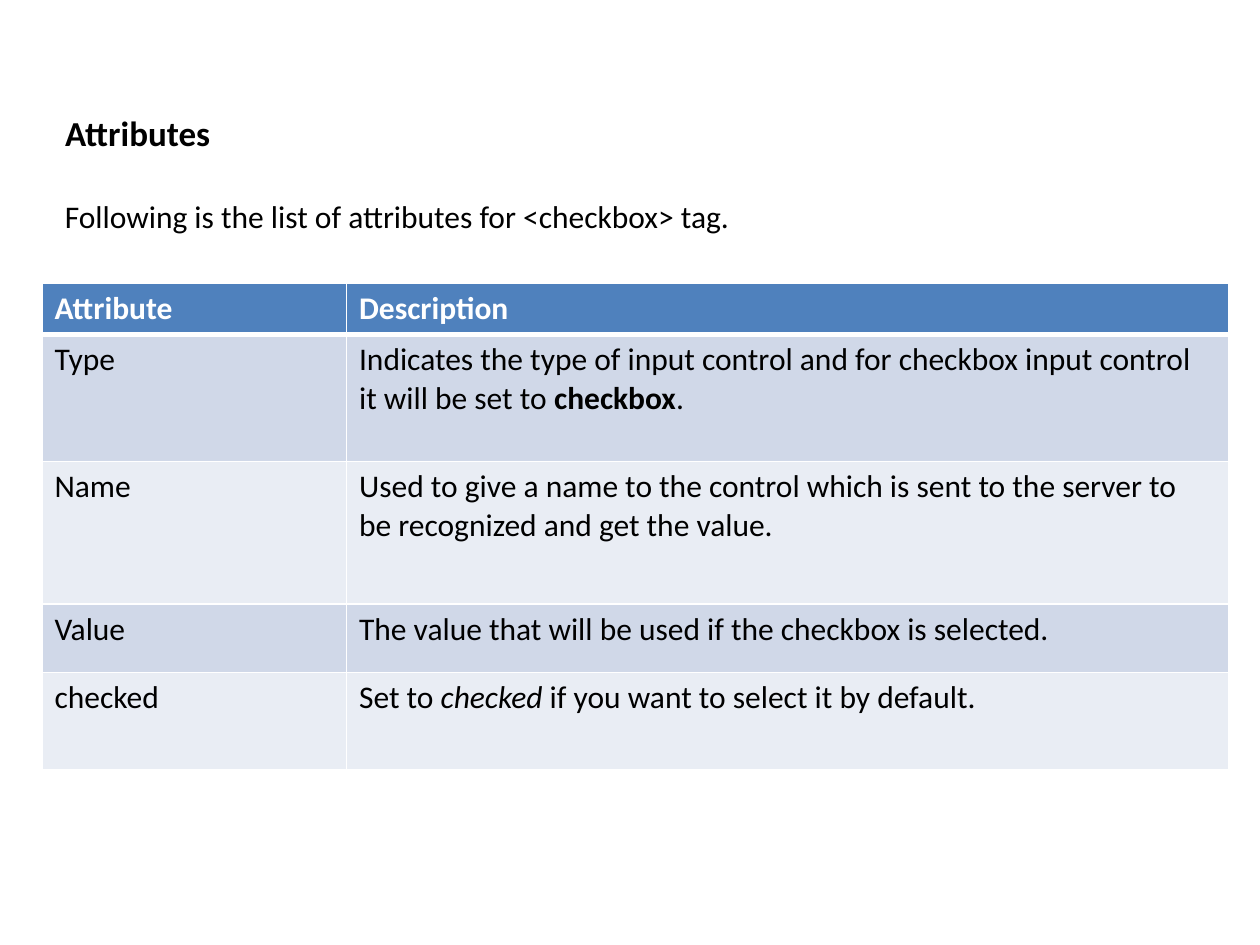
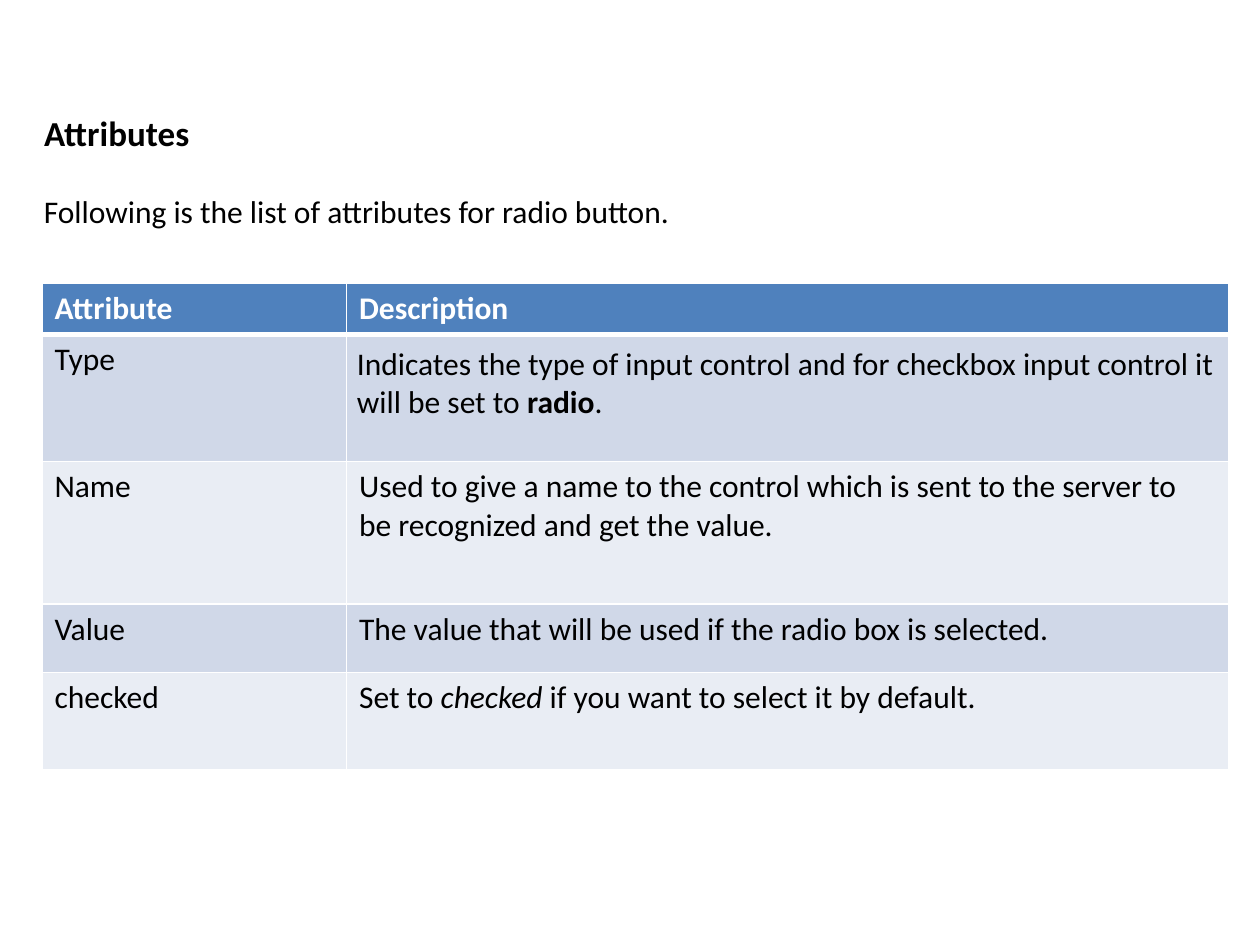
from dataclasses import dataclass

import lxml.etree
import pptx
import pptx.dml.color
import pptx.enum.text
import pptx.oxml.ns
import pptx.util

Pt = pptx.util.Pt
RGBColor = pptx.dml.color.RGBColor

BLACK = RGBColor(0x00, 0x00, 0x00)
WHITE = RGBColor(0xFF, 0xFF, 0xFF)
HEADER_BLUE = RGBColor(0x4F, 0x81, 0xBD)
BANDS = (RGBColor(0xD0, 0xD8, 0xE8), RGBColor(0xE9, 0xED, 0xF4))

FONT = "Calibri"
TITLE_SIZE = 20
BODY_SIZE = 18
TITLE_ONLY_LAYOUT = 5
TITLE_TOP = 60
TITLE_HEIGHT = 32
INTRO_HEIGHT = 30
TABLE_LEFT = 24
TABLE_TOP = 162
COLUMN_WIDTHS = (174, 504)
ROW_HEIGHTS = (29.2, 72.5, 81.5, 39, 55.5)
THIN_BORDER = 1
HEADER_BORDER = 3


@dataclass(frozen=True)
class Run:
    text: str
    bold: bool = False
    italic: bool = False


@dataclass(frozen=True)
class AttributeSlide:
    left: float
    width: float
    intro_top: float
    intro: str
    control: str
    selected_item: str
    type_margin: float | None = None


SLIDES = (
    AttributeSlide(30, 648, 108.8, "Following is the list of attributes for <checkbox> tag.",
                   "checkbox", "checkbox"),
    AttributeSlide(18, 684, 106.4, "Following is the list of attributes for radio button.",
                   "radio", "radio box", type_margin=6),
)


def table_rows(content: AttributeSlide) -> list[tuple[list[Run], list[Run]]]:
    return [
        ([Run("Attribute", bold=True)], [Run("Description", bold=True)]),
        ([Run("Type")], [
            Run("Indicates the type of input control and for checkbox input control "
                "it will be set to\u00a0"),
            Run(content.control, bold=True),
            Run("."),
        ]),
        ([Run("Name")], [
            Run("Used to give a name to the control which is sent to the server "
                "to be recognized and get the value."),
        ]),
        ([Run("Value")], [
            Run(f"The value that will be used if the {content.selected_item} is selected."),
        ]),
        ([Run("checked")], [
            Run("Set to\u00a0"),
            Run("checked", italic=True),
            Run("\u00a0if you want to select it by default."),
        ]),
    ]


def write_runs(text_frame, runs: list[Run], size: float, color: RGBColor) -> None:
    paragraph = text_frame.paragraphs[0]
    paragraph.alignment = pptx.enum.text.PP_ALIGN.LEFT
    for item in runs:
        run = paragraph.add_run()
        run.text = item.text
        run.font.name = FONT
        run.font.size = Pt(size)
        run.font.bold = item.bold
        run.font.italic = item.italic
        run.font.color.rgb = color


def format_text_shape(shape, runs: list[Run], size: float) -> None:
    text_frame = shape.text_frame
    text_frame.word_wrap = True
    text_frame.auto_size = pptx.enum.text.MSO_AUTO_SIZE.NONE
    text_frame.vertical_anchor = pptx.enum.text.MSO_ANCHOR.TOP
    write_runs(text_frame, runs, size, BLACK)


def add_border(cell, side: str, width: float) -> None:
    qn = pptx.oxml.ns.qn
    properties = cell._tc.get_or_add_tcPr()
    line = lxml.etree.SubElement(properties, qn(f"a:ln{side}"), w=str(Pt(width)))
    fill = lxml.etree.SubElement(line, qn("a:solidFill"))
    lxml.etree.SubElement(fill, qn("a:srgbClr"), val=str(WHITE))


def format_cell(cell, runs: list[Run], row_index: int) -> None:
    header = row_index == 0
    widths = {
        "L": THIN_BORDER,
        "R": THIN_BORDER,
        "T": HEADER_BORDER if row_index == 1 else THIN_BORDER,
        "B": HEADER_BORDER if header else THIN_BORDER,
    }
    for side, width in widths.items():
        add_border(cell, side, width)
    cell.fill.solid()
    cell.fill.fore_color.rgb = HEADER_BLUE if header else BANDS[(row_index - 1) % 2]
    write_runs(cell.text_frame, runs, BODY_SIZE, WHITE if header else BLACK)


def add_attribute_table(slide, content: AttributeSlide) -> None:
    rows = table_rows(content)
    table = slide.shapes.add_table(
        len(rows), len(COLUMN_WIDTHS), Pt(TABLE_LEFT), Pt(TABLE_TOP),
        Pt(sum(COLUMN_WIDTHS)), Pt(sum(ROW_HEIGHTS))).table
    table.horz_banding = False
    for column, width in zip(table.columns, COLUMN_WIDTHS):
        column.width = Pt(width)
    for row_index, (cells, height) in enumerate(zip(rows, ROW_HEIGHTS)):
        table.rows[row_index].height = Pt(height)
        for column_index, runs in enumerate(cells):
            format_cell(table.cell(row_index, column_index), runs, row_index)
    if content.type_margin is not None:
        type_cell = table.cell(1, 1)
        margin = Pt(content.type_margin)
        type_cell.margin_left = type_cell.margin_right = margin
        type_cell.margin_top = type_cell.margin_bottom = margin


def add_attribute_slide(presentation, content: AttributeSlide) -> None:
    slide = presentation.slides.add_slide(presentation.slide_layouts[TITLE_ONLY_LAYOUT])
    slide.background.fill.solid()
    slide.background.fill.fore_color.rgb = WHITE
    title = slide.shapes.title
    title.left, title.top = Pt(content.left), Pt(TITLE_TOP)
    title.width, title.height = Pt(content.width), Pt(TITLE_HEIGHT)
    format_text_shape(title, [Run("Attributes", bold=True)], TITLE_SIZE)
    intro = slide.shapes.add_textbox(
        Pt(content.left), Pt(content.intro_top), Pt(content.width), Pt(INTRO_HEIGHT))
    format_text_shape(intro, [Run(content.intro)], BODY_SIZE)
    add_attribute_table(slide, content)


def main() -> None:
    presentation = pptx.Presentation()
    presentation.slide_width = Pt(720)
    presentation.slide_height = Pt(540)
    for content in SLIDES:
        add_attribute_slide(presentation, content)
    presentation.save("out.pptx")


main()
